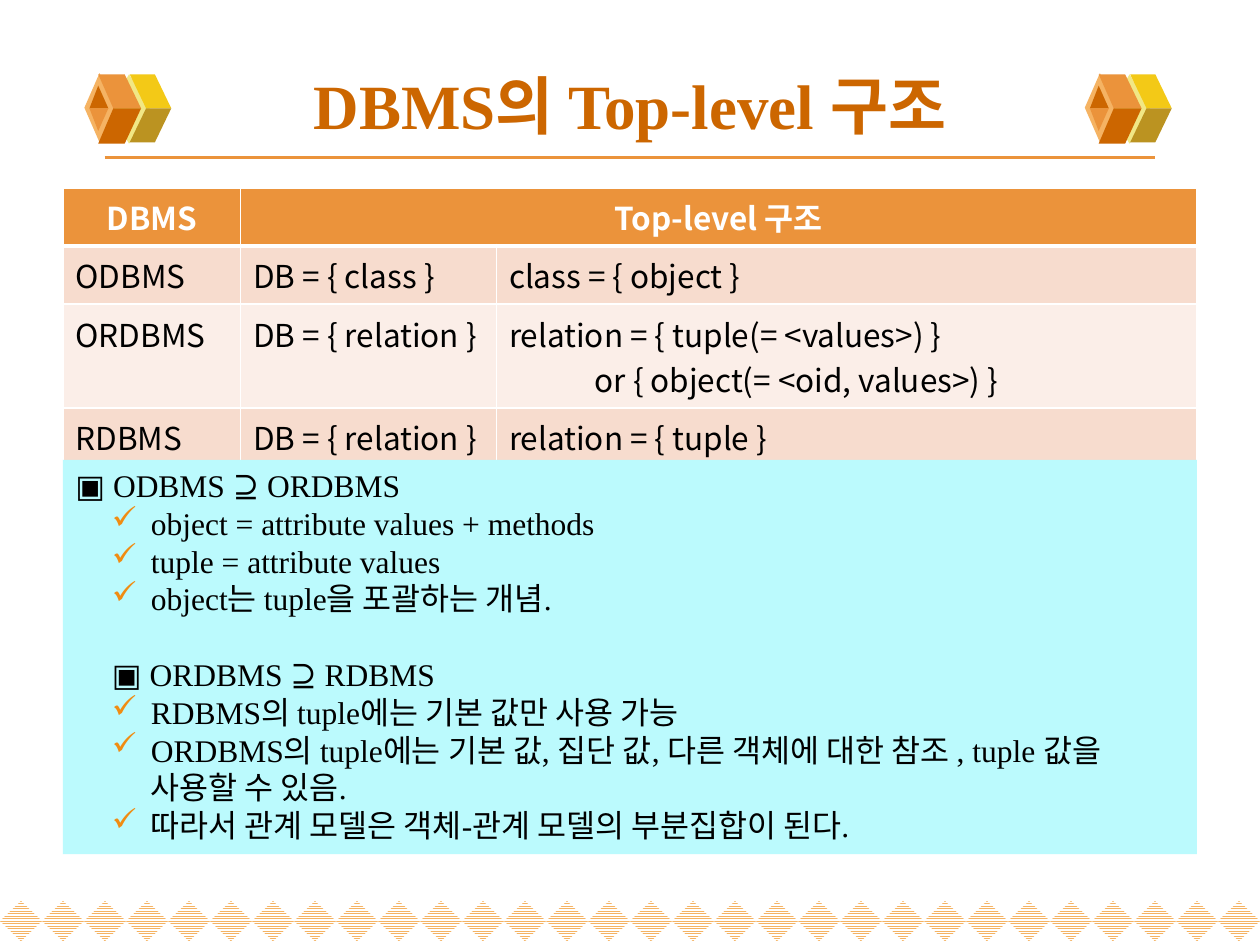
from dataclasses import dataclass
from typing import Any

from lxml.etree import SubElement as Sub
from pptx import Presentation
from pptx.dml.color import RGBColor as RGB
from pptx.enum.dml import MSO_PATTERN as Pattern
from pptx.enum.shapes import MSO_CONNECTOR as Link, MSO_SHAPE as Preset
from pptx.enum.text import MSO_ANCHOR as Anchor, PP_ALIGN as Align
from pptx.oxml.ns import qn
from pptx.util import Inches, Pt

WHITE = RGB(0xFF, 0xFF, 0xFF)
BLACK = RGB(0, 0, 0)
ORANGE = RGB(0xEB, 0x93, 0x3B)
RUST = RGB(0xCC, 0x66, 0x00)
AMBER = RGB(0xF5, 0xB3, 0x63)
CREAM = RGB(0xF1, 0xE7, 0x85)
YELLOW = RGB(0xF3, 0xC9, 0x17)
OLIVE = RGB(0xBB, 0x93, 0x21)
PEACH = RGB(0xF7, 0xDC, 0xCE)
PALE = RGB(0xFB, 0xEE, 0xE8)
CYAN = RGB(0xBB, 0xFA, 0xFD)
CHECK = RGB(0xF0, 0x8C, 0x12)
SERIF = "Times New Roman"
SANS = "Noto Sans CJK KR"


@dataclass
class Facet:
    color: RGB
    points: list[tuple[float, float]]


@dataclass
class Gem:
    color: RGB
    left: float
    top: float
    width: float


@dataclass
class Line:
    text: str
    left: float = 0.6
    check: bool = True
    before: float = 0


EMBLEM = [
    Gem(CREAM, 0.19, 0.59, 0.33),
    Facet(YELLOW, [(0.49, 0.86), (0.69, 0.86), (0.56, 0.59), (0.36, 0.59)]),
    Facet(OLIVE, [(0.49, 0.86), (0.69, 0.86), (0.56, 1.13), (0.36, 1.13)]),
    Gem(AMBER, 0, 0.58, 0.24),
    Facet(ORANGE, [(0.23, 0.86), (0.45, 0.86), (0.32, 0.59), (0.11, 0.59)]),
    Facet(RUST, [(0.23, 0.86), (0.45, 0.86), (0.32, 1.14), (0.11, 1.14)]),
    Facet(RUST, [(0.11, 0.68), (0.04, 0.86), (0.19, 0.86)]),
    Facet(ORANGE, [(0.11, 1.04), (0.04, 0.86), (0.19, 0.86)]),
]

ROWS = [
    ["DBMS", "Top-level 구조", ""],
    ["ODBMS", "DB = { class }", "class = { object }"],
    ["ORDBMS", "DB = { relation }",
     "relation = { tuple(= <values>) }\nor { object(= <oid, values>) }"],
    ["RDBMS", "DB = { relation }", "relation = { tuple }"],
]

NOTES = [
    Line("▣ ODBMS ⊇ ORDBMS", 0, False),
    Line("object = attribute values + methods"),
    Line("tuple = attribute values"),
    Line("object는 tuple을 포괄하는 개념."),
    Line("▣ ORDBMS ⊇ RDBMS", 0.29, False, 21.6),
    Line("RDBMS의 tuple에는 기본 값만 사용 가능"),
    Line("ORDBMS의 tuple에는 기본 값, 집단 값, 다른 객체에 대한 참조 , "
         "tuple 값을 사용할 수 있음."),
    Line("따라서 관계 모델은 객체-관계 모델의 부분집합이 된다."),
]


def style(para: Any, face: str, size: float, color: RGB, bold: bool = False) -> None:
    font = para.font
    font.name, font.size, font.bold = face, Pt(size), bold
    font.color.rgb = color


def paint(shape: Any, color: RGB) -> None:
    shape.shadow.inherit = False
    shape.fill.solid()
    shape.fill.fore_color.rgb = color
    shape.line.fill.background()


def add_band(slide: Any) -> None:
    count = 30
    step = 10 / count
    for i in range(count):
        tile = slide.shapes.add_shape(
            Preset.DIAMOND, Inches(i * step), Inches(7.15), Inches(step), Inches(0.32))
        paint(tile, WHITE)
        tile.fill.patterned()
        tile.fill.pattern = Pattern.NARROW_HORIZONTAL
        tile.fill.fore_color.rgb = AMBER
        tile.fill.back_color.rgb = WHITE


def add_rule(slide: Any) -> None:
    rule = slide.shapes.add_connector(
        Link.STRAIGHT, Inches(0.83), Inches(1.25), Inches(9.17), Inches(1.25))
    rule.line.color.rgb = ORANGE
    rule.line.width = Pt(2.25)
    Sub(rule._element.spPr, qn("a:effectLst"))


def add_emblem(slide: Any, left: float) -> None:
    for part in EMBLEM:
        if isinstance(part, Gem):
            shape = slide.shapes.add_shape(
                Preset.DIAMOND, Inches(left + part.left), Inches(part.top),
                Inches(part.width), Inches(0.55))
        else:
            dots = [(Inches(left + x), Inches(y)) for x, y in part.points]
            form = slide.shapes.build_freeform(*dots[0])
            form.add_line_segments(dots[1:], close=True)
            shape = form.convert_to_shape()
        paint(shape, part.color)


def add_title(slide: Any) -> None:
    title = slide.shapes.title
    title.left, title.top = Inches(0.5), Inches(0.45)
    title.width, title.height = Inches(9), Inches(0.76)
    frame = title.text_frame
    frame.text = "DBMS의 Top-level 구조"
    frame.vertical_anchor = Anchor.MIDDLE
    para = frame.paragraphs[0]
    para.alignment = Align.CENTER
    style(para, SERIF, 36, RUST, True)


def set_edges(cell: Any, base: float) -> None:
    props = cell._tc.get_or_add_tcPr()
    for i, side in enumerate("LRTB"):
        width = base if side == "B" else 1
        edge = Sub(props, qn(f"a:ln{side}"), w=str(Pt(width)))
        Sub(Sub(edge, qn("a:solidFill")), qn("a:srgbClr"), val=str(WHITE))
        props.remove(edge)
        props.insert(i, edge)


def add_grid(slide: Any) -> None:
    grid = slide.shapes.add_table(
        len(ROWS), 3, Inches(0.5), Inches(1.49), Inches(9), Inches(1.6)).table
    for col, width in zip(grid.columns, (1.41, 2.03, 5.56)):
        col.width = Inches(width)
    grid.cell(0, 1).merge(grid.cell(0, 2))
    for r, row in enumerate(ROWS):
        head = r == 0
        for c, text in enumerate(row):
            cell = grid.cell(r, c)
            cell.fill.solid()
            cell.fill.fore_color.rgb = ORANGE if head else PEACH if r % 2 else PALE
            set_edges(cell, 3 if head else 1)
            if cell.is_spanned:
                continue
            cell.text = text
            for i, para in enumerate(cell.text_frame.paragraphs):
                style(para, SANS, 18, WHITE if head else BLACK, head)
                para.alignment = Align.CENTER if head else Align.LEFT
                if i:
                    para._p.get_or_add_pPr().set("marL", str(Inches(0.68)))


def add_notes(slide: Any) -> None:
    box = slide.shapes.add_shape(
        Preset.RECTANGLE, Inches(0.5), Inches(3.65), Inches(9), Inches(3.13))
    paint(box, CYAN)
    frame = box.text_frame
    frame.word_wrap = True
    frame.vertical_anchor = Anchor.TOP
    frame.text = "\n".join(line.text for line in NOTES)
    for para, line in zip(frame.paragraphs, NOTES):
        para.alignment = Align.LEFT
        para.line_spacing = Pt(21.6)
        para.space_before = Pt(line.before)
        props = para._p.get_or_add_pPr()
        props.set("marL", str(Inches(line.left)))
        props.set("indent", str(Inches(-0.31 if line.check else 0)))
        if line.check:
            Sub(Sub(props, qn("a:buClr")), qn("a:srgbClr"), val=str(CHECK))
            Sub(props, qn("a:buChar"), char="✓")
        style(para, SERIF, 18, BLACK)


deck = Presentation()
deck.slide_width, deck.slide_height = Inches(10), Inches(7.5)
page = deck.slides.add_slide(deck.slide_layouts[5])
add_band(page)
add_rule(page)
for side in (0.67, 8.61):
    add_emblem(page, side)
add_title(page)
add_grid(page)
add_notes(page)
deck.save("out.pptx")
